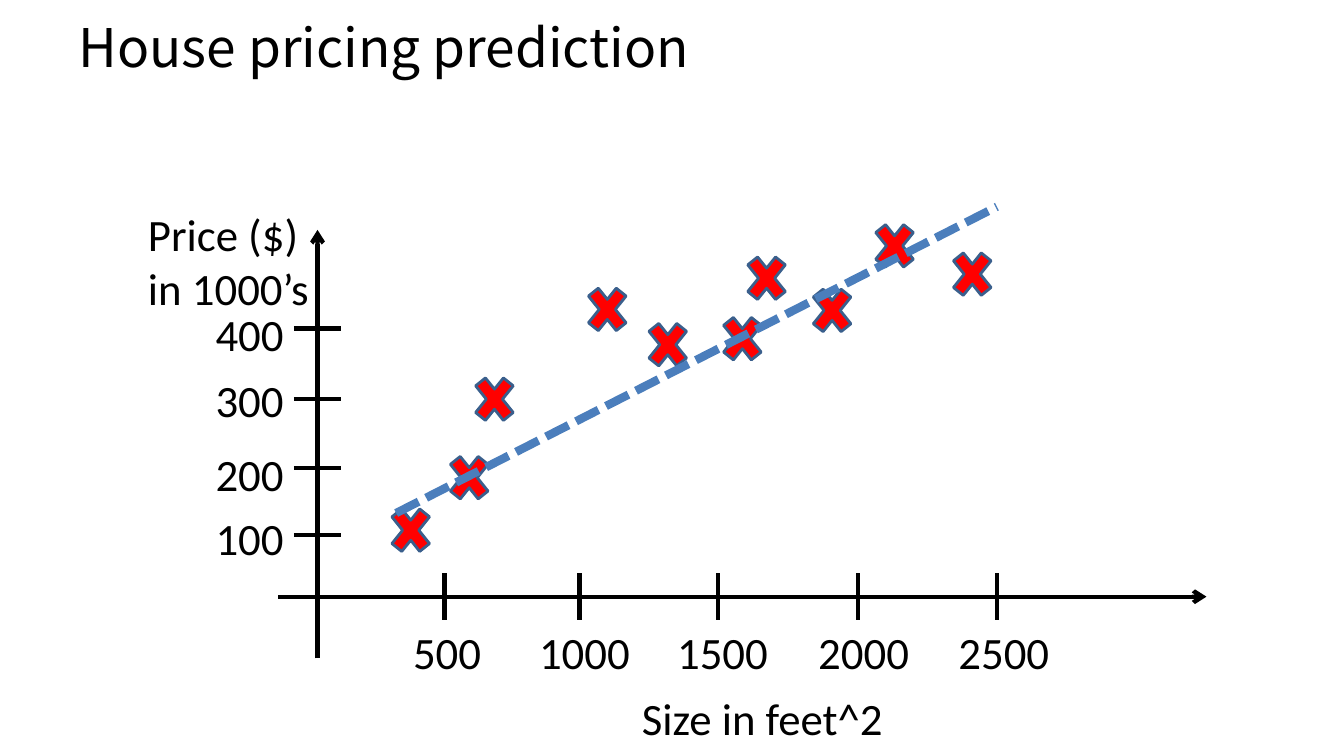
from typing import NamedTuple

from pptx import Presentation
from pptx.dml.color import RGBColor
from pptx.enum.dml import MSO_LINE as Dash
from pptx.enum.shapes import MSO_CONNECTOR as Link, MSO_SHAPE as Shape
from pptx.enum.text import MSO_ANCHOR as Anchor
from pptx.oxml.ns import qn
from pptx.util import Pt

BLACK = RGBColor(0, 0, 0)
RED = RGBColor(0xFF, 0, 0)
NAVY = RGBColor(0x3A, 0x5F, 0x8C)
BLUE = RGBColor(0x4B, 0x7E, 0xBC)

AXIS_X, AXIS_Y = 226.8, 426.2
TICK = 16.8  # half length of a tick
LABEL_H = 46
CROSS_W, CROSS_H = 38.2, 47.5


class Tick(NamedTuple):
    text: str
    pos: float    # place along the axis
    label: float  # near edge of the label along the axis
    width: float


class Point(NamedTuple):
    left: float
    top: float


SIZES = [
    Tick("500", 317.5, 288, 64),
    Tick("1000", 414, 378, 80),
    Tick("1500", 512.6, 476.6, 80),
    Tick("2000", 612.7, 577.4, 80),
    Tick("2500", 712.1, 677.5, 80),
]
PRICES = [
    Tick("100", 382.3, 361.4, 64),
    Tick("200", 334.1, 315.4, 64),
    Tick("300", 285.1, 262.8, 64),
    Tick("400", 234.7, 215.3, 64),
]
HOUSES = [
    Point(274.3, 355), Point(334.1, 261.4), Point(414.7, 197.3),
    Point(457.9, 222.5), Point(528.5, 175), Point(575.3, 198),
    Point(511.2, 218.2), Point(619.9, 151.9), Point(675.4, 172.1),
    Point(316.1, 317.5),
]

deck = Presentation()
deck.slide_width, deck.slide_height = Pt(960), Pt(540)
slide = deck.slides.add_slide(deck.slide_layouts[6])


def write(text: str, left: float, top: float, width: float,
          height: float = LABEL_H, *, size: float = 32,
          face: str = "Calibri", anchor: Anchor = Anchor.TOP,
          wrap: bool = False, inset: float = 7.2) -> None:
    box = slide.shapes.add_textbox(Pt(left), Pt(top), Pt(width), Pt(height))
    frame = box.text_frame
    frame.word_wrap = wrap
    frame.vertical_anchor = anchor
    frame.margin_left = frame.margin_right = Pt(inset)
    para = frame.paragraphs[0]
    para.text = text
    for run in para.runs:
        font = run.font
        font.size, font.name = Pt(size), face
        font.color.rgb = BLACK


def rule(x1: float, y1: float, x2: float, y2: float, *,
         color: RGBColor = BLACK, width: float = 3,
         dash: Dash | None = None, arrow: bool = False) -> None:
    link = slide.shapes.add_connector(
        Link.STRAIGHT, Pt(x1), Pt(y1), Pt(x2), Pt(y2))
    line = link.line
    line.color.rgb, line.width = color, Pt(width)
    if dash is not None:
        line.dash_style = dash
    props = link._element.spPr
    if arrow:
        tip = props.find(qn("a:ln")).makeelement(
            qn("a:tailEnd"), {"type": "arrow"})
        props.find(qn("a:ln")).append(tip)
    props.append(props.makeelement(qn("a:effectLst"), {}))


def cross(house: Point) -> None:
    mark = slide.shapes.add_shape(
        Shape.MATH_MULTIPLY, Pt(house.left), Pt(house.top),
        Pt(CROSS_W), Pt(CROSS_H))
    mark.shadow.inherit = False
    mark.fill.solid()
    mark.fill.fore_color.rgb = RED
    mark.line.color.rgb, mark.line.width = NAVY, Pt(2)


# Title
write("House pricing prediction", 48.2, 1.4, 864, 62.6, size=38,
      face="Noto Sans CJK KR", anchor=Anchor.MIDDLE, wrap=True, inset=7.9)

# Axes
rule(AXIS_X, 470.2, AXIS_X, 164.2, arrow=True)
rule(198.7, AXIS_Y, 861.8, AXIS_Y, arrow=True)
write("Price ($)\vin 1000’s", 98.6, 144, 131, 85)
write("Size in feet^2", 451.4, 489.6, 188.6)

# Ticks and their labels
for tick in SIZES:
    rule(tick.pos, AXIS_Y - TICK, tick.pos, AXIS_Y + TICK)
    write(tick.text, tick.label, 442.8, tick.width)
for tick in PRICES:
    rule(AXIS_X - TICK, tick.pos, AXIS_X + TICK, tick.pos)
    write(tick.text, 146.9, tick.label, tick.width)

# Houses and the trend
for house in HOUSES:
    cross(house)
rule(283, 366.5, 712.1, 147.6, color=BLUE, width=6, dash=Dash.SQUARE_DOT)

deck.save("out.pptx")
